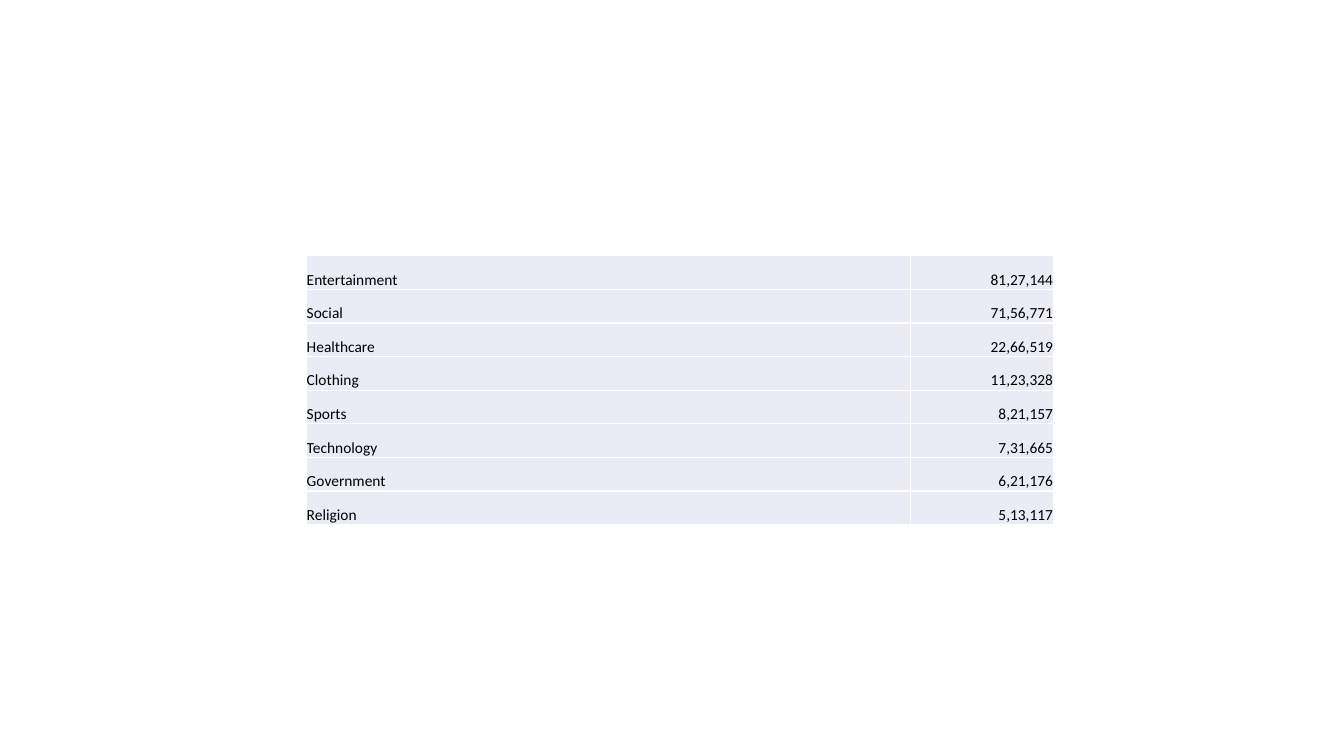
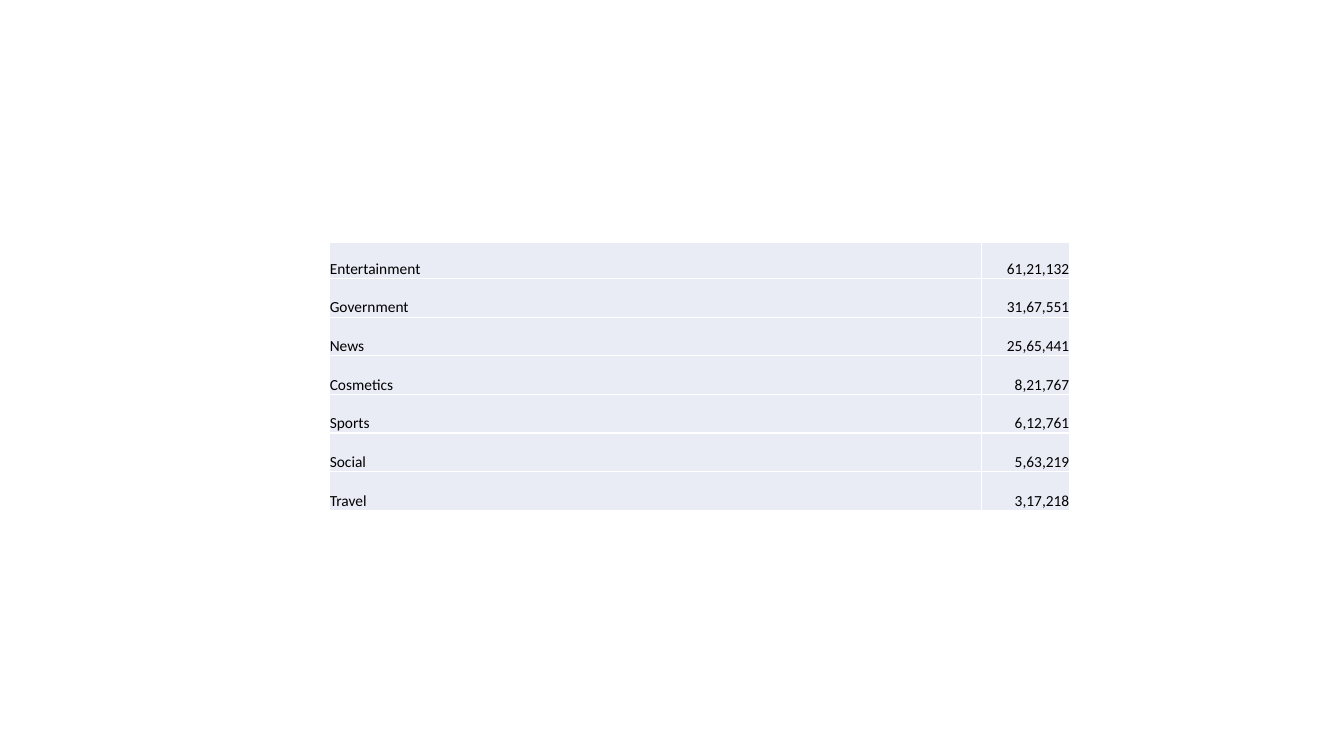
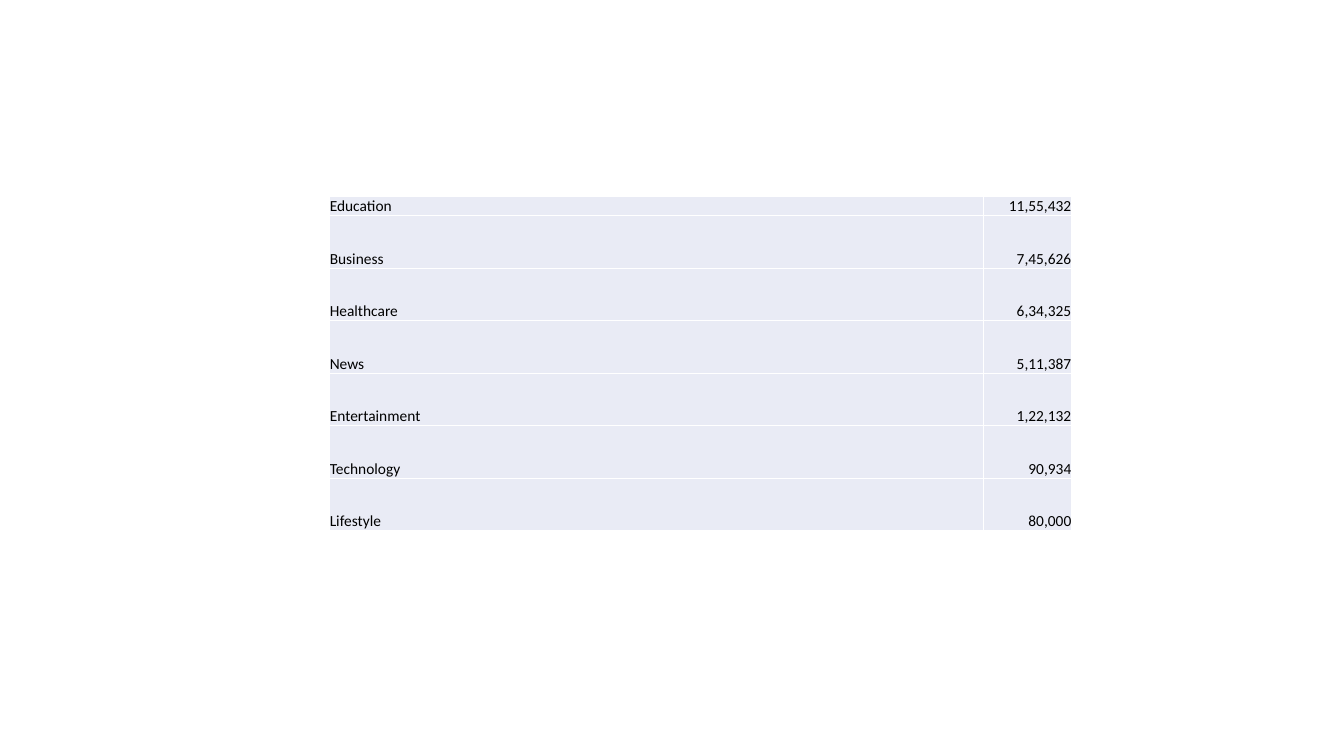
from lxml.etree import SubElement
from pptx import Presentation
from pptx.dml.color import RGBColor
from pptx.enum.text import MSO_ANCHOR, PP_ALIGN
from pptx.oxml.ns import qn
from pptx.util import Cm, Pt

FONT = "Calibri"
TEXT_SIZE = 11
TEXT_COLOUR = "000000"
CELL_COLOUR = "E9EBF5"
BORDER_COLOUR = "FFFFFF"
BORDER_WIDTH = 1

SLIDES = [
    {
        "box": (7.73, 6.44, 18.81, 6.78),
        "total_width": 3.6,
        "first_height": 0.85,
        "categories": [
            ("Entertainment", "81,27,144"),
            ("Social", "71,56,771"),
            ("Healthcare", "22,66,519"),
            ("Clothing", "11,23,328"),
            ("Sports", "8,21,157"),
            ("Technology", "7,31,665"),
            ("Government", "6,21,176"),
            ("Religion", "5,13,117"),
        ],
    },
    {
        "box": (8.31, 6.11, 18.64, 6.75),
        "total_width": 2.21,
        "first_height": 0.91,
        "categories": [
            ("Entertainment", "61,21,132"),
            ("Government", "31,67,551"),
            ("News", "25,65,441"),
            ("Cosmetics", "8,21,767"),
            ("Sports", "6,12,761"),
            ("Social", "5,63,219"),
            ("Travel", "3,17,218"),
        ],
    },
    {
        "box": (8.31, 4.95, 18.69, 8.43),
        "total_width": 2.21,
        "first_height": 0.49,
        "categories": [
            ("Education", "11,55,432"),
            ("Business", "7,45,626"),
            ("Healthcare", "6,34,325"),
            ("News", "5,11,387"),
            ("Entertainment", "1,22,132"),
            ("Technology", "90,934"),
            ("Lifestyle", "80,000"),
        ],
    },
]


def paint(colour_format, colour):
    """Give a fill a solid colour from a hex string."""
    colour_format.solid()
    colour_format.fore_color.rgb = RGBColor.from_string(colour)


def add_borders(cell):
    """Draw the shared thin border on all four sides of a cell."""
    properties = cell._tc.get_or_add_tcPr()
    for side in ("a:lnL", "a:lnR", "a:lnT", "a:lnB"):
        border = SubElement(properties, qn(side), w=str(Pt(BORDER_WIDTH)))
        border_fill = SubElement(border, qn("a:solidFill"))
        SubElement(border_fill, qn("a:srgbClr"), val=BORDER_COLOUR)


def fill_cell(cell, text, alignment):
    """Write and style one cell."""
    cell.margin_left = cell.margin_right = cell.margin_top = cell.margin_bottom = 0
    cell.vertical_anchor = MSO_ANCHOR.BOTTOM
    add_borders(cell)
    paint(cell.fill, CELL_COLOUR)
    cell.text_frame.text = text
    paragraph = cell.text_frame.paragraphs[0]
    paragraph.alignment = alignment
    for run in paragraph.runs:
        run.font.name = FONT
        run.font.size = Pt(TEXT_SIZE)
        paint(run.font.fill, TEXT_COLOUR)


def add_category_table(slide, box, total_width, first_height, categories):
    """Place categories and their totals in the given box."""
    left, top, width, height = box
    frame = slide.shapes.add_table(
        len(categories), 2, Cm(left), Cm(top), Cm(width), Cm(height)
    )
    table = frame.table
    table.first_row = table.horz_banding = False
    table.columns[0].width = Cm(width - total_width)
    table.columns[1].width = Cm(total_width)
    other_height = (height - first_height) / (len(categories) - 1)
    for index, (category, total) in enumerate(categories):
        table.rows[index].height = Cm(other_height if index else first_height)
        fill_cell(table.cell(index, 0), category, PP_ALIGN.LEFT)
        fill_cell(table.cell(index, 1), total, PP_ALIGN.RIGHT)


def main():
    """Build the deck of category tables."""
    deck = Presentation()
    deck.slide_width, deck.slide_height = Cm(33.87), Cm(19.05)
    for content in SLIDES:
        slide = deck.slides.add_slide(deck.slide_layouts[6])
        add_category_table(slide, **content)
    deck.save("out.pptx")


if __name__ == "__main__":
    main()
